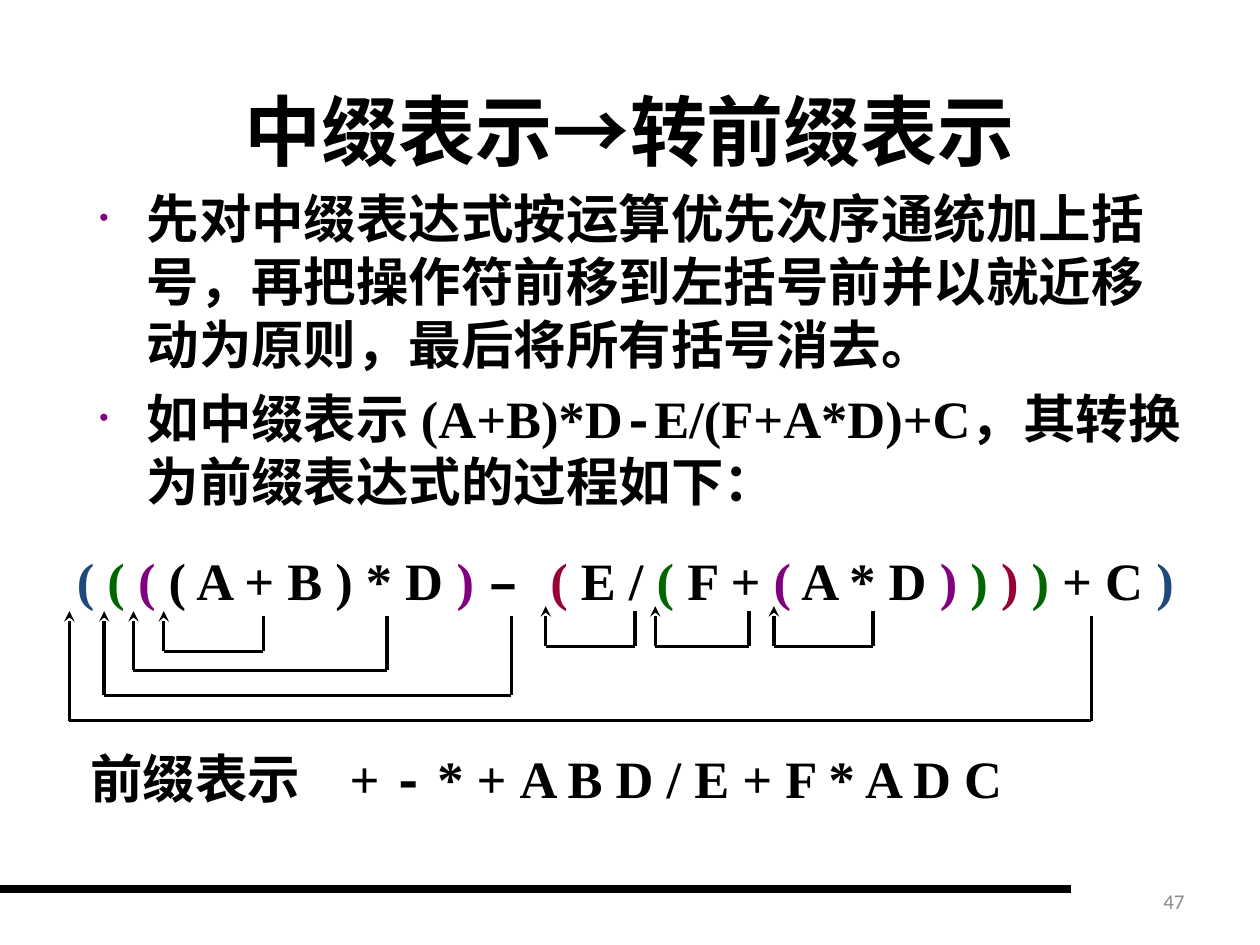
from lxml import etree
from pptx import Presentation
from pptx.dml.color import RGBColor
from pptx.enum.shapes import MSO_CONNECTOR as Connector
from pptx.enum.text import MSO_ANCHOR as Anchor, MSO_AUTO_SIZE as AutoSize, PP_ALIGN as Align
from pptx.oxml.ns import qn
from pptx.util import Cm, Pt

BLACK, BLUE, GREEN, PURPLE, RED = "000000", "1F497D", "006600", "800080", "990033"
TIMES, COURIER, CALIBRI, HAN = "Times New Roman", "Courier New", "Calibri", "Noto Sans CJK SC"


def add_text(paragraph, text, font=TIMES, size=30, color=BLACK, bold=True):
    run = paragraph.add_run()
    run.text = text
    run.font.name = font
    run.font.size = Pt(size)
    run.font.bold = bold
    run.font.color.rgb = RGBColor.from_string(color)
    etree.SubElement(run.font._element, qn("a:ea"), typeface=HAN)


def add_line(x1, y1, x2, y2, width=2, arrow=False):
    line = slide.shapes.add_connector(Connector.STRAIGHT, Cm(x1), Cm(y1), Cm(x2), Cm(y2))
    line.line.width = Pt(width)
    line.line.color.rgb = RGBColor.from_string(BLACK)
    if arrow:
        etree.SubElement(line.line._get_or_add_ln(), qn("a:tailEnd"), type="stealth")
    etree.SubElement(line._element.spPr, qn("a:effectLst"))


presentation = Presentation()
presentation.slide_width, presentation.slide_height = Cm(25.4), Cm(19.05)
slide = presentation.slides.add_slide(presentation.slide_layouts[1])
add_line(0, 17.93, 21.59, 17.93, width=4.5)

title, body = slide.placeholders
title.left, title.top, title.width, title.height = Cm(1.27), Cm(1.27), Cm(22.86), Cm(2.67)
title.text_frame.vertical_anchor = Anchor.MIDDLE
title.text_frame.auto_size = AutoSize.NONE
paragraph = title.text_frame.paragraphs[0]
paragraph.alignment = Align.CENTER
for text, font in [("中缀表示", CALIBRI), ("→", COURIER), ("转前缀表示", CALIBRI)]:
    add_text(paragraph, text, font=font, size=44)

body.left, body.top, body.width, body.height = Cm(1.75), Cm(3.63), Cm(22.35), Cm(7.21)
body.text_frame.auto_size = AutoSize.NONE
items = [
    [("先对中缀表达式按运算优先次序通统加上括号，再把操作符前移到左括号前并以就近移动为原则，最后将所有括号消去。", CALIBRI)],
    [("如中缀表示 ", HAN), ("(A+B)*D", TIMES), ("-", COURIER), ("E/(F+A*D)+C", TIMES),
     ("，其转换为前缀表达式的过程如下：", HAN)],
]
for index, item in enumerate(items):
    paragraph = body.text_frame.add_paragraph() if index else body.text_frame.paragraphs[0]
    paragraph.space_before = Pt(6 * index)
    properties = paragraph._p.get_or_add_pPr()
    properties.set("marL", str(Cm(0.95)))
    properties.set("indent", str(-Cm(0.95)))
    bullet_color = etree.SubElement(properties, qn("a:buClr"))
    etree.SubElement(bullet_color, qn("a:srgbClr"), val=PURPLE)
    etree.SubElement(properties, qn("a:buSzPct"), val="50000")
    etree.SubElement(properties, qn("a:buFont"), typeface="Arial")
    etree.SubElement(properties, qn("a:buChar"), char="•")
    for text, font in item:
        add_text(paragraph, text, font=font)

number_box = slide.shapes.add_textbox(Cm(18.21), Cm(17.65), Cm(5.92), Cm(1.02))
number_box.text_frame.word_wrap = True
number_box.text_frame.vertical_anchor = Anchor.MIDDLE
paragraph = number_box.text_frame.paragraphs[0]
paragraph.alignment = Align.RIGHT
add_text(paragraph, "47", font=CALIBRI, size=12, color="8C8C8C", bold=False)

infix = [
    ("( ", BLUE), ("( ", GREEN), ("(", PURPLE), (" ( A + B ) * D ", BLACK), (") ", PURPLE),
    ("– ", BLACK), ("(", RED), (" E / ", BLACK), ("(", GREEN), (" F + ", BLACK), ("(", PURPLE),
    (" A * D ", BLACK), (") ", PURPLE), (") ", GREEN), (") ", RED), (")", GREEN),
    (" + C ", BLACK), (")", BLUE),
]
infix_box = slide.shapes.add_textbox(Cm(1.3), Cm(10.92), Cm(22.91), Cm(1.52))
infix_box.text_frame.word_wrap = False
infix_box.text_frame.auto_size = AutoSize.SHAPE_TO_FIT_TEXT
for text, color in infix:
    font = COURIER if text == "– " else TIMES
    add_text(infix_box.text_frame.paragraphs[0], text, font=font, color=color)

moves = [
    (3.3, 5.31, 12.32, 13.13), (2.69, 7.8, 12.32, 13.51), (2.1, 10.31, 12.32, 14.02),
    (1.4, 22, 12.32, 14.53), (11, 12.8, 12.22, 13.03), (13.21, 15.1, 12.22, 13.03),
    (15.6, 17.6, 12.22, 13.03),
]
for bracket_x, operator_x, tip_y, base_y in moves:
    add_line(operator_x, base_y, operator_x, tip_y + 0.1)
    add_line(operator_x, base_y, bracket_x, base_y, width=1.75)
    add_line(bracket_x, base_y, bracket_x, tip_y, arrow=True)

prefix_box = slide.shapes.add_textbox(Cm(1.57), Cm(14.91), Cm(18.92), Cm(1.52))
prefix_box.text_frame.word_wrap = False
prefix_box.text_frame.auto_size = AutoSize.SHAPE_TO_FIT_TEXT
paragraph = prefix_box.text_frame.paragraphs[0]
tabs = etree.SubElement(paragraph._p.get_or_add_pPr(), qn("a:tabLst"))
etree.SubElement(tabs, qn("a:tab"), pos=str(Cm(5.23)), algn="l")
for text, font in [("前缀表示\t+ ", TIMES), ("-", COURIER), (" * + A B D / E + F * A D C", TIMES)]:
    add_text(paragraph, text, font=font)

presentation.save("out.pptx")
